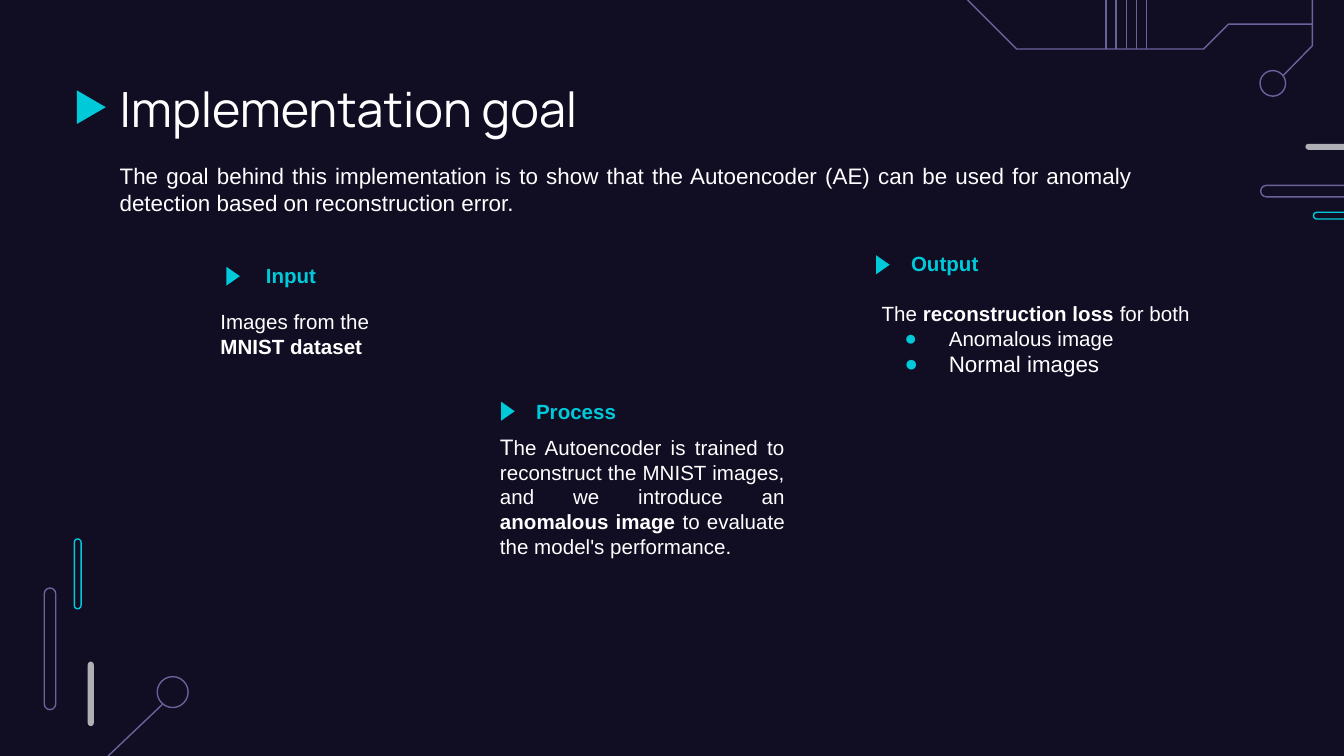
from lxml.etree import SubElement
from pptx import Presentation
from pptx.dml.color import RGBColor
from pptx.enum.shapes import MSO_CONNECTOR, MSO_SHAPE as SHAPE
from pptx.enum.text import MSO_ANCHOR, MSO_AUTO_SIZE, PP_ALIGN as ALIGN
from pptx.oxml.ns import qn
from pptx.util import Inches, Pt

THEME = {
    "night": RGBColor.from_string("110E24"),
    "cyan": RGBColor.from_string("00CADA"),
    "violet": RGBColor.from_string("69639C"),
    "grey": RGBColor.from_string("AFAFB6"),
    "white": RGBColor.from_string("FFFFFF"),
    "title": 26, "lead": 12, "body": 11, "line": 0.75,
    "title_font": "Manrope", "font": "Arial",
}
CELL = Inches(0.1)  # the slide is a grid of 100 columns by 56.25 rows


def cells(*counts):
    return [round(n * CELL) for n in counts]


def write(s, box, paragraphs, font=THEME["font"], anchor=MSO_ANCHOR.TOP):
    """Place s and fill it; a paragraph is (align, bulleted, runs), a run (text, size, colour, bold)."""
    s.left, s.top, s.width, s.height = cells(*box)
    tf = s.text_frame
    tf.word_wrap, tf.auto_size, tf.vertical_anchor = True, MSO_AUTO_SIZE.NONE, anchor
    tf.margin_left = tf.margin_top = tf.margin_right = tf.margin_bottom = CELL
    for i, (align, bulleted, runs) in enumerate(paragraphs):
        p = tf.add_paragraph() if i else tf.paragraphs[0]
        pPr = p._p.get_or_add_pPr()
        pPr.set("marL", str(Inches(0.5) if bulleted else 0))
        pPr.set("indent", str(Inches(-0.33) if bulleted else 0))
        if bulleted:
            SubElement(SubElement(pPr, qn("a:buClr")), qn("a:srgbClr"), val=str(THEME["cyan"]))
            SubElement(pPr, qn("a:buFont"), typeface=font)
            SubElement(pPr, qn("a:buChar"), char="●")
        else:
            SubElement(pPr, qn("a:buNone"))
        p.alignment, p.space_before, p.line_spacing = align, Pt(0), 1.0
        for text, size, colour, bold in runs:
            r = p.add_run()
            r.text = text
            r.font.name, r.font.size, r.font.bold = font, Pt(size), bold
            r.font.color.rgb = colour


prs = Presentation()
prs.slide_width, prs.slide_height = cells(100, 56.25)
slide = prs.slides.add_slide(prs.slide_layouts.get_by_name("Comparison"))
slide.background.fill.solid()
slide.background.fill.fore_color.rgb = THEME["night"]
shapes = slide.shapes

# Circuit traces: straight wires, bent wires, and nodes
wires = [(8.05, 56.25, 12.1, 52.4)]
wires += [(82.3 + 0.75 * i, 0, 82.3 + 0.75 * i, 3.65) for i in range(5)]
for x1, y1, x2, y2 in wires:
    wire = shapes.add_connector(MSO_CONNECTOR.STRAIGHT, *cells(x1, y1, x2, y2))
    wire.line.color.rgb, wire.line.width = THEME["violet"], Pt(THEME["line"])
    SubElement(wire._element.spPr, qn("a:effectLst"))

outlined = []
for points in (
    [(72, 0), (75.65, 3.65), (89.55, 3.65), (91.4, 1.8), (97.65, 1.8), (97.65, 0)],
    [(95.5, 5.6), (97.65, 3.4), (97.65, 1.8)],
):
    start, *rest = [cells(*point) for point in points]
    builder = shapes.build_freeform(*start)
    builder.add_line_segments(rest, close=False)
    outlined.append((builder.convert_to_shape(), "violet"))

for box in ((11.7, 50.35, 2.3, 2.3), (93.75, 5.25, 1.9, 1.9)):
    outlined.append((shapes.add_shape(SHAPE.OVAL, *cells(*box)), "violet"))

# Rounded bars at the lower left and the right edge
filled = []
for box, colour, target in (
    ((5.53, 40.1, 0.5, 5.2), "cyan", outlined),
    ((3.3, 43.75, 0.85, 9.05), "violet", outlined),
    ((97.73, 15.8, 5.2, 0.5), "cyan", outlined),
    ((93.8, 13.8, 9.05, 0.85), "violet", outlined),
    ((97.13, 10.7, 4.8, 0.45), "grey", filled),
    ((6.53, 49.23, 0.45, 4.8), "grey", filled),
):
    bar = shapes.add_shape(SHAPE.ROUNDED_RECTANGLE, *cells(*box))
    bar.adjustments[0] = 0.5
    target.append((bar, colour))

# Triangle markers beside the title and each step
for box in ((5.55, 6.9, 2.5, 2.15), (16.65, 20.05, 1.4, 1), (37.1, 30.1, 1.4, 1), (65, 19.2, 1.4, 1)):
    marker = shapes.add_shape(SHAPE.FLOWCHART_MERGE, *cells(*box))
    marker.rotation = 270
    filled.append((marker, "cyan"))

for s, colour in outlined:
    s.shadow.inherit = False
    s.fill.background()
    s.line.color.rgb, s.line.width = THEME[colour], Pt(THEME["line"])
for s, colour in filled:
    s.shadow.inherit = False
    s.fill.solid()
    s.fill.fore_color.rgb = THEME[colour]
    s.line.fill.background()

# Title, lead and step texts
white, cyan, lead, body = THEME["white"], THEME["cyan"], THEME["lead"], THEME["body"]
title, *bodies = slide.placeholders
write(title, (7.9, 4.9, 50.4, 6.3),
      [(ALIGN.LEFT, False, [("Implementation goal", THEME["title"], white, False)])],
      THEME["title_font"], MSO_ANCHOR.MIDDLE)

texts = [
    ((7.9, 11.1, 77.4, 6.3), [(ALIGN.JUSTIFY, False, [
        ("The goal behind this implementation is to show that the Autoencoder (AE) can be used "
         "for anomaly detection based on reconstruction error.", lead, white, False)])]),
    ((15.4, 22, 17.6, 6.3), [(ALIGN.LEFT, False, [
        ("Images from the ", body, white, False),
        ("MNIST dataset", body, white, True)])]),
    ((36.2, 31.2, 23.2, 10.1), [(ALIGN.JUSTIFY, False, [
        ("T", lead, white, False),
        ("he Autoencoder is trained to reconstruct the MNIST images, and we introduce an ",
         body, white, False),
        ("anomalous image", body, white, True),
        (" to evaluate the model's performance.", body, white, False)])]),
    ((64.6, 21.4, 28.1, 10.1), [
        (ALIGN.LEFT, False, [
            ("The ", body, white, False),
            ("reconstruction loss", body, white, True),
            (" for both", body, white, False)]),
        (ALIGN.JUSTIFY, True, [("Anomalous image", body, white, False)]),
        (ALIGN.JUSTIFY, True, [("Normal images", lead, white, False)])]),
]
for s, (box, paragraphs) in zip(bodies, texts):
    write(s, box, paragraphs)

for heading, box in (
    ("Input", (18.8, 18.6, 24.3, 6.8)),
    ("Process", (38.9, 28.7, 26.1, 6.3)),
    ("Output", (66.8, 17.7, 23.2, 3.9)),
):
    write(shapes.add_textbox(*cells(*box)), box,
          [(ALIGN.LEFT, False, [(heading, body, cyan, True)])])

prs.save("out.pptx")
